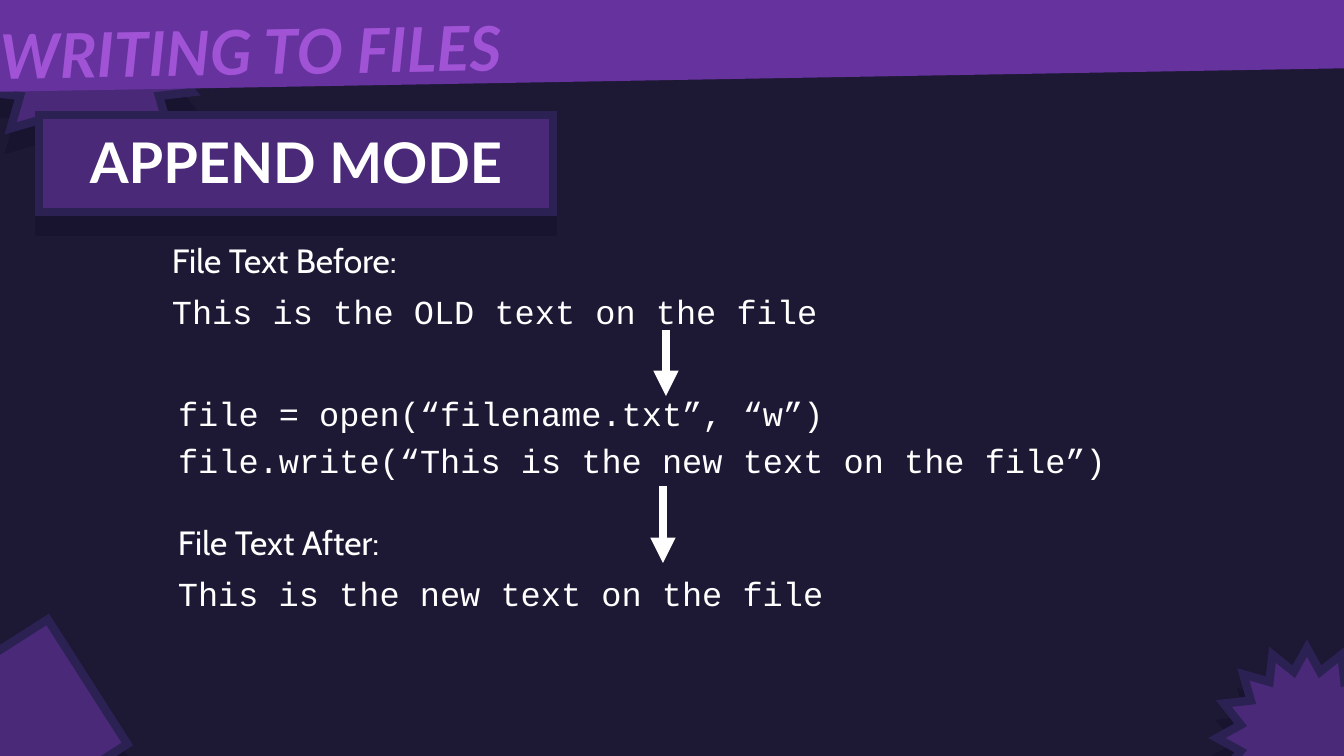
from dataclasses import dataclass

from lxml.etree import SubElement
from pptx import Presentation
from pptx.dml.color import RGBColor
from pptx.enum.shapes import MSO_CONNECTOR, MSO_SHAPE
from pptx.enum.text import MSO_ANCHOR, MSO_AUTO_SIZE, PP_ALIGN
from pptx.oxml.ns import qn
from pptx.util import Pt

EMU_PER_INCH = 914400
PX_PER_INCH = 100.8


def px(length):
    return round(length * EMU_PER_INCH / PX_PER_INCH)


@dataclass(frozen=True)
class Theme:
    background: str = "1D1834"
    band: str = "65329E"
    panel: str = "4B2979"
    border: str = "2B2153"
    shadow: str = "18132F"
    accent: str = "A053D5"
    text: str = "FFFFFF"
    heading_font: str = "Lato"
    body_font: str = "Cabin"
    code_font: str = "Courier New"
    banner_size: int = 44
    title_size: int = 40
    body_size: int = 24
    stroke: int = 6
    shadow_distance: int = 14
    paragraph_gap: int = 10


class SlideBuilder:
    def __init__(self, page, theme):
        self.page = page
        self.theme = theme
        background = page.background.fill
        background.solid()
        background.fore_color.rgb = RGBColor.from_string(theme.background)

    def band(self, bounds, rotation):
        band = self.page.shapes.add_shape(MSO_SHAPE.RECTANGLE, *map(px, bounds))
        band.rotation = rotation
        band.fill.solid()
        band.fill.fore_color.rgb = RGBColor.from_string(self.theme.band)
        band.line.fill.background()
        band.shadow.inherit = False

    def panel(self, kind, bounds, rotation=0):
        panel = self.page.shapes.add_shape(kind, *map(px, bounds))
        panel.rotation = rotation
        panel.fill.solid()
        panel.fill.fore_color.rgb = RGBColor.from_string(self.theme.panel)
        panel.line.color.rgb = RGBColor.from_string(self.theme.border)
        panel.line.width = Pt(self.theme.stroke)
        properties = panel.element.spPr
        SubElement(properties.find(qn("a:ln")), qn("a:miter"), lim="800000")
        panel.shadow.inherit = False
        shadow = SubElement(
            properties.find(qn("a:effectLst")), qn("a:outerShdw"),
            blurRad="0", dist=str(Pt(self.theme.shadow_distance)),
            dir="5400000", algn="t", rotWithShape="0")
        SubElement(shadow, qn("a:srgbClr"), val=self.theme.shadow)

    def text_box(self, bounds, rotation=0):
        box = self.page.shapes.add_textbox(*map(px, bounds))
        box.rotation = rotation
        return box

    def placeholder(self, index, bounds):
        box = self.page.placeholders[index]
        box.left, box.top, box.width, box.height = map(px, bounds)
        self.page.shapes.element.append(box.element)
        return box

    def fill_text(self, box, lines, size, color, spacing=1.0,
                  align=PP_ALIGN.LEFT, bold=False, italic=False):
        frame = box.text_frame
        frame.word_wrap = True
        frame.auto_size = MSO_AUTO_SIZE.NONE
        frame.vertical_anchor = MSO_ANCHOR.TOP
        for number, (words, font) in enumerate(lines):
            para = frame.add_paragraph() if number else frame.paragraphs[0]
            para.alignment = align
            para.line_spacing = spacing
            para.space_before = Pt(self.theme.paragraph_gap if number else 0)
            span = para.add_run()
            span.text = words
            span.font.name = font
            span.font.size = Pt(size)
            span.font.bold = bold
            span.font.italic = italic
            span.font.color.rgb = RGBColor.from_string(color)

    def file_text(self, bounds, label, content):
        lines = [(label, self.theme.body_font), (content, self.theme.code_font)]
        self.fill_text(self.text_box(bounds), lines, self.theme.body_size,
                       self.theme.text, spacing=0.9)

    def down_arrow(self, x, top, bottom):
        arrow = self.page.shapes.add_connector(
            MSO_CONNECTOR.STRAIGHT, px(x), px(top), px(x), px(bottom))
        arrow.line.color.rgb = RGBColor.from_string(self.theme.text)
        arrow.line.width = Pt(self.theme.stroke)
        properties = arrow.element.spPr
        SubElement(properties.find(qn("a:ln")), qn("a:tailEnd"), type="triangle")
        SubElement(properties, qn("a:effectLst"))


def main():
    theme = Theme()
    deck = Presentation()
    deck.slide_width, deck.slide_height = px(1344), px(756)
    page = deck.slides.add_slide(deck.slide_layouts[0])
    builder = SlideBuilder(page, theme)

    builder.panel(MSO_SHAPE.STAR_16_POINT, (-22, -62, 223, 223))
    code = builder.placeholder(1, (168, 396, 1008, 97))
    code_lines = ["file = open(“filename.txt”, “w”)",
                  "file.write(“This is the new text on the file”)"]
    builder.fill_text(code, [(line, theme.code_font) for line in code_lines],
                      theme.body_size, theme.text, spacing=0.8)

    builder.band((-22, -69, 1397, 149), 359)
    banner = builder.text_box((-10, -1, 1600, 85), 359)
    builder.fill_text(banner, [("WRITING TO FILES", theme.heading_font)],
                      theme.banner_size, theme.accent, bold=True, italic=True)

    builder.panel(MSO_SHAPE.RECTANGLE, (39, 115, 514, 97))
    title = builder.placeholder(0, (44, 122, 504, 146))
    builder.fill_text(title, [("APPEND MODE", theme.heading_font)],
                      theme.title_size, theme.text, align=PP_ALIGN.CENTER, bold=True)

    builder.panel(MSO_SHAPE.RECTANGLE, (-57, 650, 157, 148), 327.4)
    builder.panel(MSO_SHAPE.STAR_16_POINT, (1217, 648, 180, 180))

    builder.file_text((162, 240, 1008, 97), "File Text Before:",
                      "This is the OLD text on the file")
    builder.file_text((168, 522, 1008, 97), "File Text After:",
                      "This is the new text on the file")
    builder.down_arrow(666, 330, 396)
    builder.down_arrow(663, 486, 563)

    deck.save("out.pptx")


if __name__ == "__main__":
    main()
